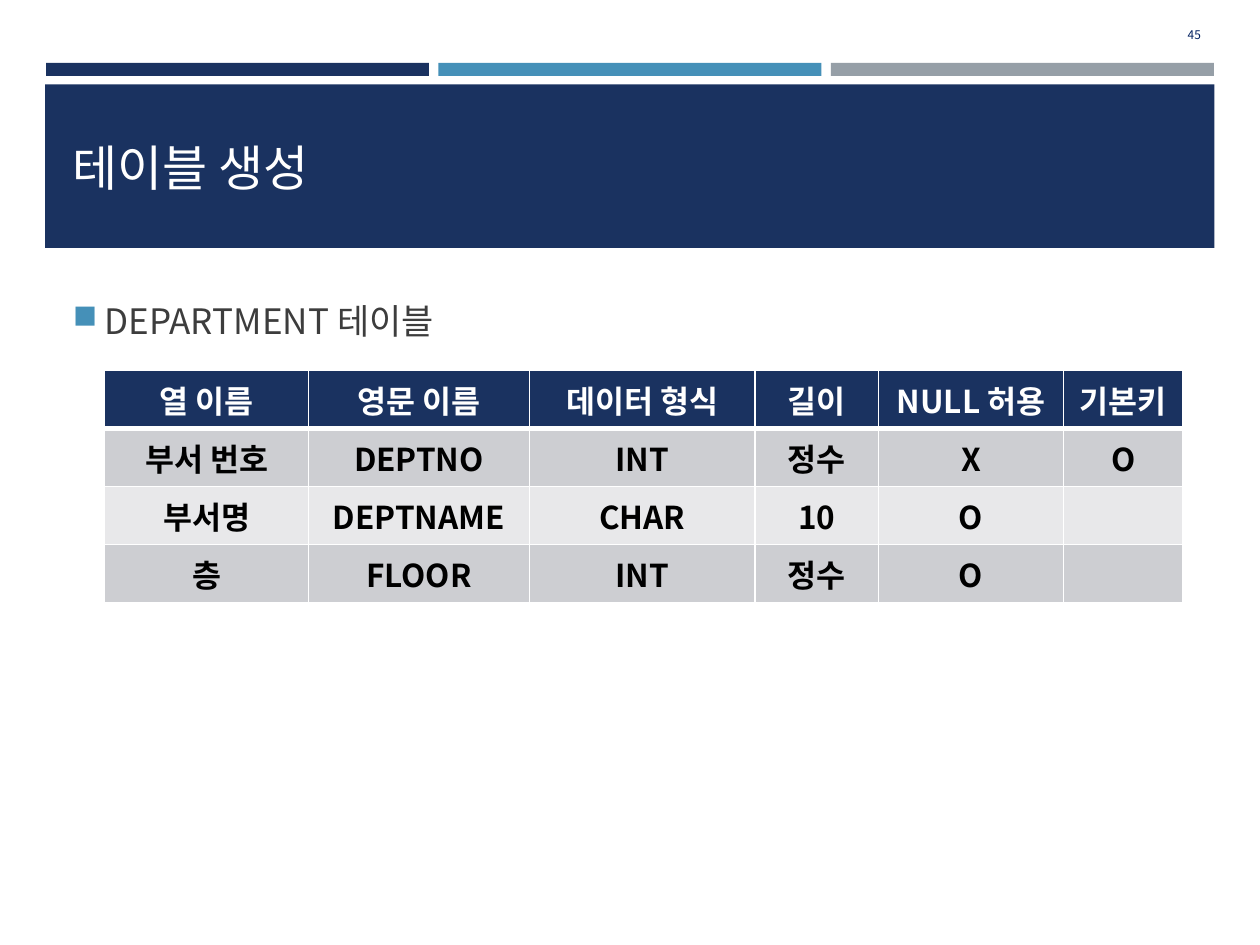
import lxml.etree
import pptx
import pptx.dml.color
import pptx.enum.shapes
import pptx.enum.text
import pptx.oxml.ns
import pptx.util

Cm = pptx.util.Cm
Pt = pptx.util.Pt
qn = pptx.oxml.ns.qn
ALIGN = pptx.enum.text.PP_ALIGN
MIDDLE = pptx.enum.text.MSO_ANCHOR.MIDDLE

FONT = "Noto Sans CJK KR"
HUES = {
    "navy": "1A3260", "blue": "4590B8", "gray": "969FA7", "white": "FFFFFF",
    "text": "3D3D3D", "page": "002060", "black": "000000",
    "dark": "CDCED2", "light": "E8E8EA",
}
ROWS = [
    ["열 이름", "영문 이름", "데이터 형식", "길이", "NULL 허용", "기본키"],
    ["부서 번호", "DEPTNO", "INT", "정수", "X", "O"],
    ["부서명", "DEPTNAME", "CHAR", "10", "O", ""],
    ["층", "FLOOR", "INT", "정수", "O", ""],
]
WIDTHS = [4.11, 4.45, 4.55, 2.49, 3.73, 2.41]


def put(item, values):
    for name, value in values.items():
        setattr(item, name, value)


class Deck:
    def __init__(self):
        self.show = pptx.Presentation()
        put(self.show, {"slide_width": Cm(25.4), "slide_height": Cm(19.05)})
        self.slide = self.show.slides.add_slide(self.show.slide_layouts[6])

    def hue(self, name):
        return pptx.dml.color.RGBColor.from_string(HUES[name])

    def paint(self, item, name):
        item.fill.solid()
        item.fill.fore_color.rgb = self.hue(name)

    def label(self, para, words, size, color, **form):
        put(para, form)
        run = para.add_run()
        run.text = words
        put(run.font, {"size": Pt(size), "name": FONT})
        run.font.color.rgb = self.hue(color)
        props = run._r.get_or_add_rPr()
        lxml.etree.SubElement(props, qn("a:ea"), typeface=FONT)
        return run

    def bar(self, box, color):
        kind = pptx.enum.shapes.MSO_SHAPE.RECTANGLE
        shape = self.slide.shapes.add_shape(kind, *map(Cm, box))
        shape.shadow.inherit = False
        shape.line.fill.background()
        self.paint(shape, color)

    def text(self, box, words, size, color, frame=None, **form):
        area = self.slide.shapes.add_textbox(*map(Cm, box)).text_frame
        put(area, {"word_wrap": True, **(frame or {})})
        para = area.paragraphs[0]
        self.label(para, words, size, color, **form)
        return para

    def bullet(self, para, mark, color, size):
        props = para._p.get_or_add_pPr()
        child = lxml.etree.SubElement
        props.set("marL", str(Cm(0.64)))
        props.set("indent", str(-Cm(0.64)))
        tint = child(props, qn("a:buClr"))
        child(tint, qn("a:srgbClr"), val=HUES[color])
        child(props, qn("a:buSzPct"), val=str(size * 1000))
        child(props, qn("a:buChar"), char=mark)

    def edge(self, cell, sides):
        props = cell._tc.get_or_add_tcPr()
        for spot, (side, width) in enumerate(sides.items()):
            line = lxml.etree.Element(qn("a:ln" + side), w=str(Pt(width)))
            fill = lxml.etree.SubElement(line, qn("a:solidFill"))
            lxml.etree.SubElement(fill, qn("a:srgbClr"), val=HUES["white"])
            props.insert(spot, line)

    def table(self, left, top, widths, height, rows):
        size = [Cm(sum(widths)), Cm(height * len(rows))]
        grid = self.slide.shapes.add_table(
            len(rows), len(widths), Cm(left), Cm(top), *size).table
        for col, width in zip(grid.columns, widths):
            col.width = Cm(width)
        for i, row in enumerate(rows):
            grid.rows[i].height = Cm(height)
            back = "navy" if i == 0 else "dark" if i % 2 else "light"
            sides = {"L": 1, "R": 1, "T": 3 if i == 1 else 1,
                     "B": 3 if i == 0 else 1}
            for j, words in enumerate(row):
                cell = grid.cell(i, j)
                cell.vertical_anchor = MIDDLE
                self.paint(cell, back)
                self.edge(cell, sides)
                if words:
                    run = self.label(cell.text_frame.paragraphs[0], words, 18,
                                     "black" if i else "white",
                                     alignment=ALIGN.CENTER)
                    run.font.bold = True


def main():
    deck = Deck()
    for i, color in enumerate(["navy", "blue", "gray"]):
        deck.bar((0.93 + 7.91 * i, 1.27, 7.72, 0.26), color)
    deck.bar((0.91, 1.7, 23.57, 3.3), "navy")
    mid = {"vertical_anchor": MIDDLE}
    deck.text((1.22, 1.96, 22.99, 2.82), "테이블 생성", 28, "white", mid)
    para = deck.text((1.22, 5.49, 22.99, 12.7), "DEPARTMENT 테이블", 20, "text",
                     line_spacing=1.5, space_before=Pt(4), space_after=Pt(4.5))
    deck.bullet(para, "■", "blue", 94)
    deck.text((22.28, 0.2, 2.18, 1.02), "45", 6.8, "page", mid,
              alignment=ALIGN.RIGHT)
    deck.table(2.11, 7.47, WIDTHS, 1.17, ROWS)
    deck.show.save("out.pptx")


if __name__ == "__main__":
    main()
